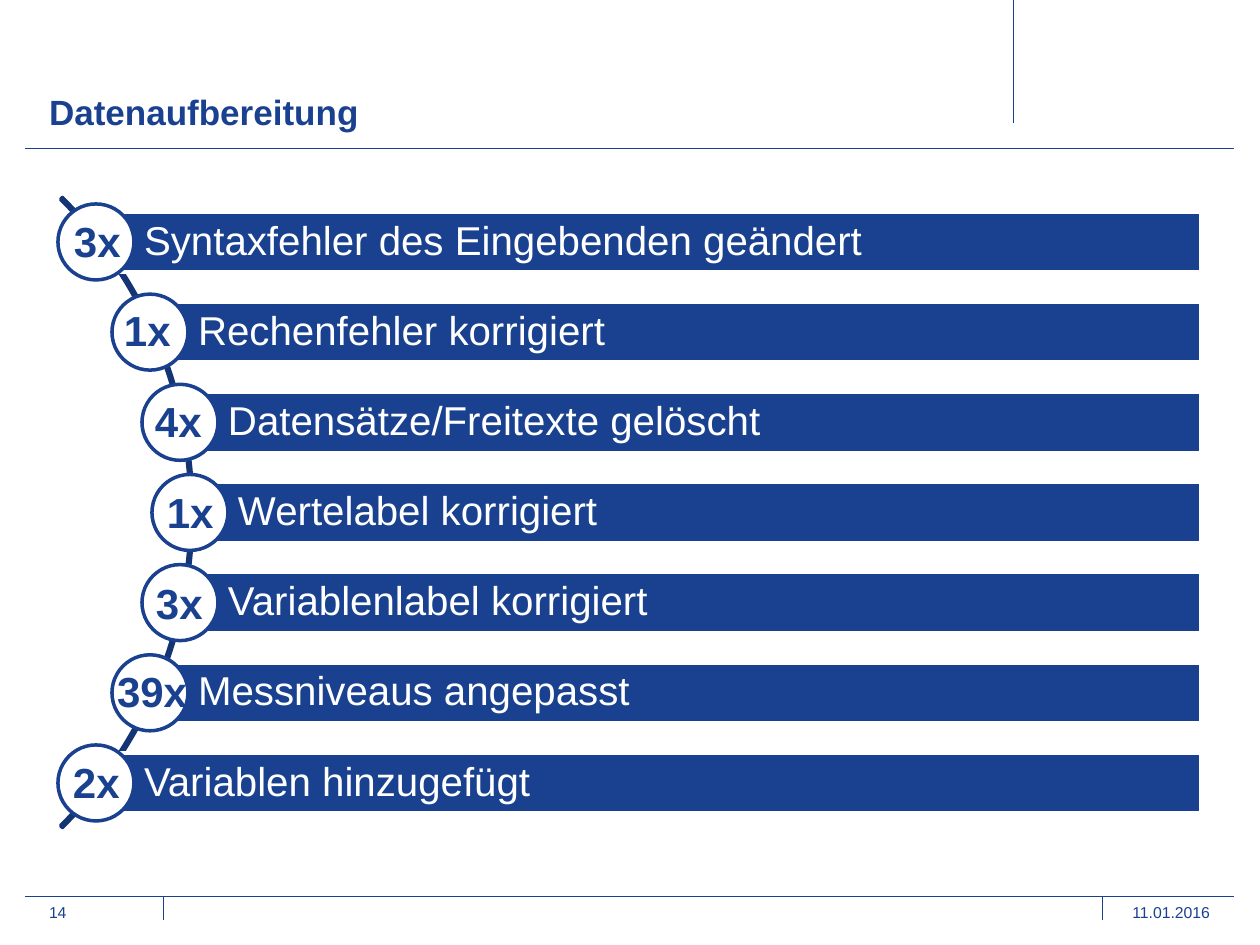
from dataclasses import dataclass

from lxml import etree
from pptx import Presentation
from pptx.dml.color import RGBColor
from pptx.enum.shapes import MSO_CONNECTOR, MSO_SHAPE
from pptx.enum.text import MSO_ANCHOR, PP_ALIGN
from pptx.oxml.ns import qn
from pptx.util import Emu, Pt

RECT, OVAL, ARC = MSO_SHAPE.RECTANGLE, MSO_SHAPE.OVAL, MSO_SHAPE.BLOCK_ARC
STRAIGHT = MSO_CONNECTOR.STRAIGHT
TOP, MIDDLE = MSO_ANCHOR.TOP, MSO_ANCHOR.MIDDLE
LEFT, RIGHT = PP_ALIGN.LEFT, PP_ALIGN.RIGHT
SCALE = 914400 / 126


@dataclass(frozen=True)
class Theme:
    font: str = "Arial"
    blue: RGBColor = RGBColor(0x1A, 0x41, 0x8F)
    dark: RGBColor = RGBColor(0x15, 0x34, 0x73)
    white: RGBColor = RGBColor(0xFF, 0xFF, 0xFF)
    title: int = 20
    count: int = 24
    label: int = 23
    small: int = 9
    thin: float = 0.5
    thick: int = 2


THEME = Theme()

# Count, label, and the offset of the count from the centre of its disc
ROWS = [
    ("3x", "Syntaxfehler des Eingebenden geändert", -35, -32),
    ("1x", "Rechenfehler korrigiert", -39, -34),
    ("4x", "Datensätze/Freitexte gelöscht", -38, -33),
    ("1x", "Wertelabel korrigiert", -36, -32),
    ("3x", "Variablenlabel korrigiert", -37, -31),
    ("39x", "Messniveaus angepasst", -46, -33),
    ("2x", "Variablen hinzugefügt", -36, -32),
]
# Indent of a disc by its distance from the middle row
INDENTS = [94, 84, 54, 0]


def px(num):
    return Emu(round(num * SCALE))


def write(shape, text, size, color, bold=False, align=LEFT, anchor=TOP,
          pads=(0, 0, 0, 0), wrap=True):
    frame = shape.text_frame
    frame.word_wrap = wrap
    frame.vertical_anchor = anchor
    (frame.margin_left, frame.margin_top,
     frame.margin_right, frame.margin_bottom) = map(px, pads)
    para = frame.paragraphs[0]
    para.text = text
    para.alignment = align
    font = para.font
    font.name, font.size, font.bold = THEME.font, Pt(size), bold
    font.color.rgb = color
    return para


def add_text(slide, box, text, size, **style):
    shape = slide.shapes.add_textbox(*map(px, box))
    return write(shape, text, size, THEME.blue, **style)


def add_form(slide, kind, box, fill, line):
    shape = slide.shapes.add_shape(kind, *map(px, box))
    shape.shadow.inherit = False
    if fill is None:
        shape.fill.background()
    else:
        shape.fill.solid()
        shape.fill.fore_color.rgb = fill
    shape.line.color.rgb = line
    shape.line.width = Pt(THEME.thick)
    return shape


def add_rule(slide, *ends):
    rule = slide.shapes.add_connector(STRAIGHT, *map(px, ends))
    rule.line.color.rgb = THEME.blue
    rule.line.width = Pt(THEME.thin)
    etree.SubElement(rule._element.spPr, qn("a:effectLst"))


def add_header(slide, box, title):
    left, top, width, height = box
    base = top + height
    add_rule(slide, left, base, left + width, base)
    add_rule(slide, left + 988, top, left + 988, base - 25)
    add_text(slide, (left + 24, base - 58, 941, 43), title,
             THEME.title, bold=True)


def add_footer(slide, box, page, date):
    left, top, width, height = box
    right = left + width
    add_rule(slide, left, top, right, top)
    for x in (left + 138, right - 132):
        add_rule(slide, x, top, x, top + height)
    add_text(slide, (left + 24, top + 7, 43, 30), page, THEME.small)
    add_text(slide, (right - 111, top + 7, 87, 30), date, THEME.small,
             align=RIGHT)


def add_list(slide, box, rows):
    """Hang numbered bars along an arc centred on the box's height."""
    left, top, width, height = box
    disc, bar, bow = 76, 60, 891
    half = len(rows) // 2
    pitch = (height - disc) / (len(rows) - 1)
    arc = add_form(slide, ARC, (left - 756, top + (height - bow) // 2,
                                bow, bow), None, THEME.dark)
    for spot, value in enumerate((189, 27, 0.003)):
        arc.adjustments[spot] = value

    mids = []
    for row, (_, label, _, _) in enumerate(rows):
        x = left + disc // 2 + INDENTS[abs(row - half)]
        y = top + disc // 2 + row * pitch
        mids.append((x, y))
        shape = add_form(slide, RECT, (x, y - bar / 2, left + width - x, bar),
                         THEME.blue, THEME.white)
        para = write(shape, label, THEME.label, THEME.white, anchor=MIDDLE,
                     pads=(48, 8, 8, 8))
        para.line_spacing = 0.9
        add_form(slide, OVAL, (x - disc / 2, y - disc / 2, disc, disc),
                 THEME.white, THEME.blue)

    for (x, y), (count, _, dx, dy) in zip(mids, rows):
        wide = 27 + 23 * len(count)
        add_text(slide, (x + dx, y + dy, wide, 63), count, THEME.count,
                 bold=True, pads=(13, 6, 0, 6), wrap=False)


def main():
    deck = Presentation()
    deck.slide_width, deck.slide_height = px(1260), px(945)
    slide = deck.slides.add_slide(deck.slide_layouts[6])
    add_header(slide, (25, 0, 1209, 148), "Datenaufbereitung")
    add_list(slide, (58, 204, 1143, 617), ROWS)
    add_footer(slide, (25, 896, 1209, 24), "14", "11.01.2016")
    deck.save("out.pptx")


if __name__ == "__main__":
    main()
